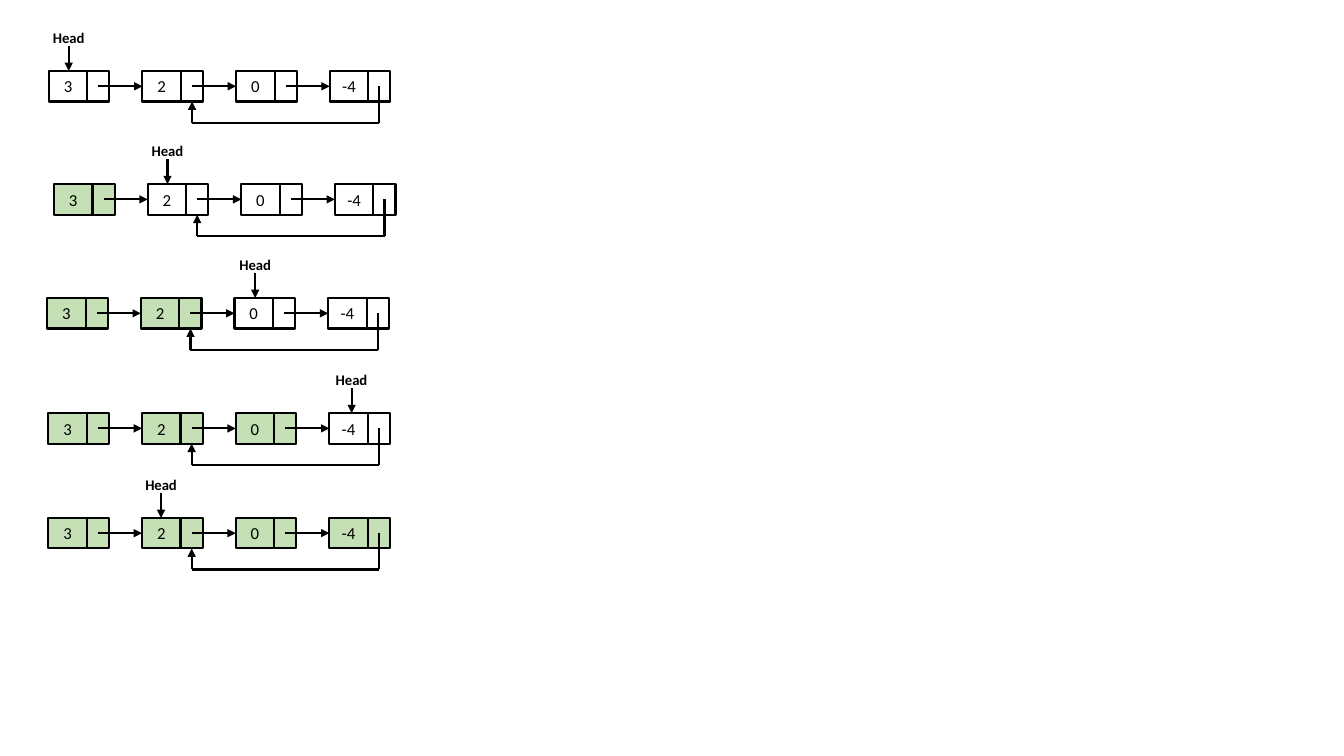
"""Build a slide tracing Head through a linked list with a cycle, in five steps."""
from pptx import Presentation
from pptx.dml.color import RGBColor
from pptx.enum import shapes, text
from pptx.oxml.ns import qn
from pptx.util import Cm, Pt
from lxml import etree

VALUES = ["3", "2", "0", "-4"]
CYCLE_START = 1
STEPS = [
    {"left": 1.23, "top": 1.79, "head": 1.73, "visited": 0},
    {"left": 1.36, "top": 4.64, "head": 4.22, "visited": 1},
    {"left": 1.19, "top": 7.51, "head": 6.43, "visited": 2},
    {"left": 1.22, "top": 10.41, "head": 8.86, "visited": 3},
    {"left": 1.22, "top": 13.05, "head": 4.06, "visited": 4},
]
COLOURS = {"ink": "000000", "visited": "C5E0B4"}
FONT = "Calibri"
NODE_W, NODE_H, VALUE_W, PITCH = 1.53, 0.77, 0.97, 2.36
POINTER_X, LOOP_DEPTH = 1.25, 1.3
HEAD_W, HEAD_H, HEAD_RISE, HEAD_ARROW = 1.65, 0.71, 1.2, 0.63


def colour(name):
    return RGBColor.from_string(COLOURS[name])


def add_line(group, x1, y1, x2, y2, arrow=False):
    line = group.shapes.add_connector(
        shapes.MSO_CONNECTOR.STRAIGHT, Cm(x1), Cm(y1), Cm(x2), Cm(y2))
    line.line.color.rgb = colour("ink")
    line.line.width = Pt(1.5)
    properties = line._element.spPr
    if arrow:
        etree.SubElement(properties.find(qn("a:ln")), qn("a:tailEnd"), type="triangle")
    etree.SubElement(properties, qn("a:effectLst"))


def add_label(group, words, x, y, width, height, size, bold=False):
    label = group.shapes.add_textbox(Cm(x), Cm(y), Cm(width), Cm(height))
    frame = label.text_frame
    frame.word_wrap = True
    frame.auto_size = text.MSO_AUTO_SIZE.SHAPE_TO_FIT_TEXT
    frame.vertical_anchor = text.MSO_ANCHOR.MIDDLE
    paragraph = frame.paragraphs[0]
    paragraph.text = words
    paragraph.alignment = text.PP_ALIGN.CENTER
    paragraph.font.name = FONT
    paragraph.font.size = Pt(size)
    paragraph.font.bold = bold
    paragraph.font.color.rgb = colour("ink")


def add_node(group, value, x, y, visited):
    node = group.shapes.add_shape(
        shapes.MSO_SHAPE.RECTANGLE, Cm(x), Cm(y), Cm(NODE_W), Cm(NODE_H))
    node.shadow.inherit = False
    node.line.color.rgb = colour("ink")
    node.line.width = Pt(1.5)
    if visited:
        node.fill.solid()
        node.fill.fore_color.rgb = colour("visited")
    else:
        node.fill.background()
    add_line(group, x + VALUE_W, y, x + VALUE_W, y + NODE_H)
    add_label(group, value, x, y, VALUE_W, NODE_H, 12)


def add_step(slide, left, top, head, visited):
    group = slide.shapes.add_group_shape()
    node_xs = [left + i * PITCH for i in range(len(VALUES))]
    middle, bottom = top + NODE_H / 2, top + LOOP_DEPTH
    for i, (value, x) in enumerate(zip(VALUES, node_xs)):
        add_node(group, value, x, top, i < visited)
    for x, next_x in zip(node_xs, node_xs[1:]):
        add_line(group, x + POINTER_X, middle, next_x, middle, arrow=True)
    loop_from, loop_to = node_xs[-1] + POINTER_X, node_xs[CYCLE_START] + POINTER_X
    add_line(group, loop_from, middle, loop_from, bottom)
    add_line(group, loop_from, bottom, loop_to, bottom)
    add_line(group, loop_to, bottom, loop_to, top + NODE_H, arrow=True)
    add_label(group, "Head", head - HEAD_W / 2, top - HEAD_RISE, HEAD_W, HEAD_H, 10.5, bold=True)
    add_line(group, head, top - HEAD_ARROW, head, top, arrow=True)


deck = Presentation()
deck.slide_width, deck.slide_height = Cm(33.87), Cm(19.05)
slide = deck.slides.add_slide(deck.slide_layouts[6])
for step in STEPS:
    add_step(slide, **step)
deck.save("out.pptx")
